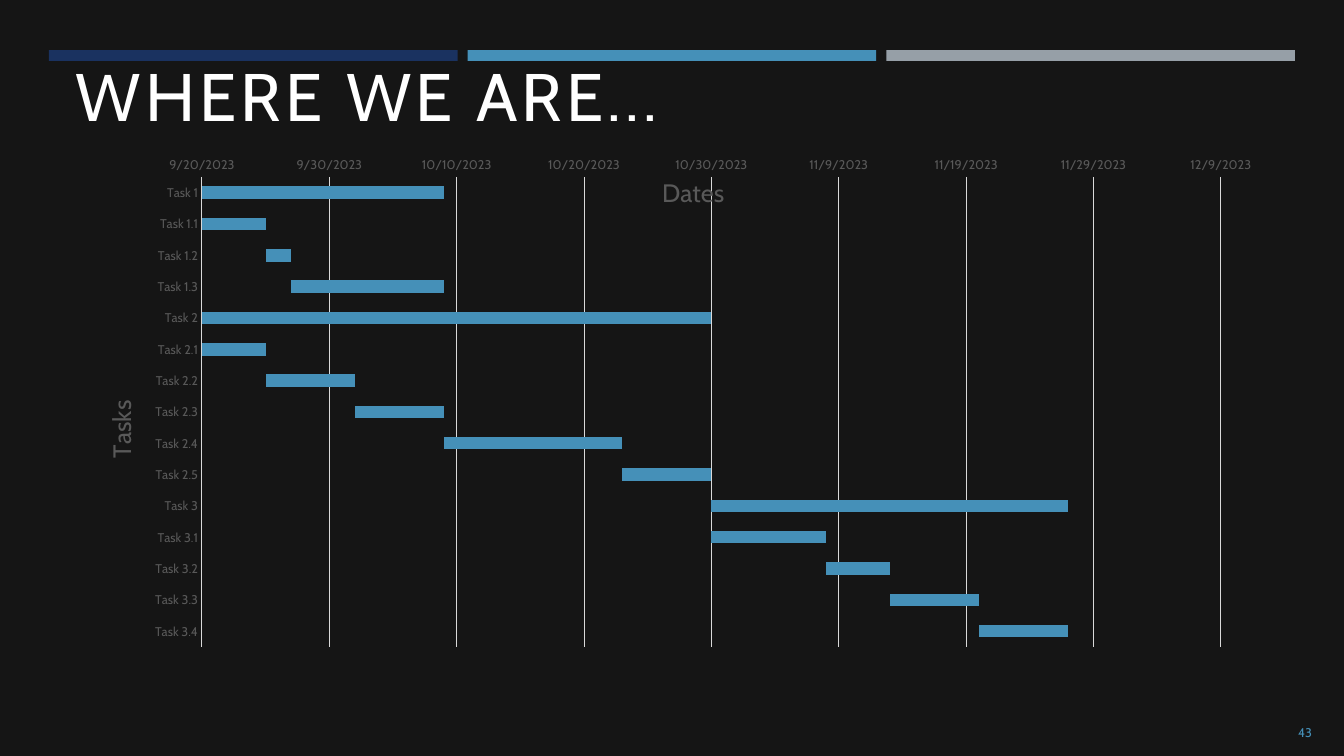
from dataclasses import dataclass
from lxml import etree
from pptx import Presentation, util as u
from pptx.chart.data import CategoryChartData
from pptx.dml.color import RGBColor
from pptx.enum import chart as ch, shapes, text
from pptx.oxml.ns import qn

PX = 914400 / 100.8


@dataclass(frozen=True)
class Theme:
    font: str = "Cabin"
    back: str = "151515"
    navy: str = "1A3260"
    blue: str = "4590B8"
    gray: str = "969FA7"
    white: str = "FFFFFF"
    label: str = "595959"
    grid: str = "D9D9D9"
    head: int = 48
    axis: int = 18
    small: int = 9


T = Theme()
START = 45189  # 9/20/2023 as a day number
SPAN, STEP = 80, 10

# Task, days after START, length in days
TASKS = [
    ("Task 1", 0, 19), ("Task 1.1", 0, 5), ("Task 1.2", 5, 2),
    ("Task 1.3", 7, 12), ("Task 2", 0, 40), ("Task 2.1", 0, 5),
    ("Task 2.2", 5, 7), ("Task 2.3", 12, 7), ("Task 2.4", 19, 14),
    ("Task 2.5", 33, 7), ("Task 3", 40, 28), ("Task 3.1", 40, 9),
    ("Task 3.2", 49, 5), ("Task 3.3", 54, 7), ("Task 3.4", 61, 7),
]


def emu(*box):
    return [u.Emu(round(v * PX)) for v in box]


def rgb(hue):
    return RGBColor.from_string(hue)


def style(font, size, hue):
    font.name, font.size, font.bold = T.font, u.Pt(size), False
    font.color.rgb = rgb(hue)


def write(slide, box, words, size, hue, align=text.PP_ALIGN.LEFT,
          anchor=text.MSO_ANCHOR.MIDDLE, space=0, base=5):
    frame = slide.shapes.add_textbox(*emu(*box)).text_frame
    frame.word_wrap = True
    frame.vertical_anchor = anchor
    frame.margin_bottom = emu(base)[0]
    para = frame.paragraphs[0]
    para.alignment = align
    run = para.add_run()
    run.text = words
    style(run.font, size, hue)
    if space:
        run.font._element.set("spc", str(space * 100))


def stripes(slide, box):
    x, y, wide, high = box
    gap = 10
    each = (wide - 2 * gap) / 3
    for i, hue in enumerate((T.navy, T.blue, T.gray)):
        bar = slide.shapes.add_shape(
            shapes.MSO_SHAPE.RECTANGLE,
            *emu(x + i * (each + gap), y, each, high))
        bar.shadow.inherit = False
        bar.fill.solid()
        bar.fill.fore_color.rgb = rgb(hue)
        bar.line.fill.background()


def place(node, **spots):
    """Give a chart part a fixed layout, in shares of the chart."""
    lay = node.find(qn("c:layout"))
    if lay is None:
        lay = etree.Element(qn("c:layout"))
        node.insert(0, lay)
    hand = etree.SubElement(lay, qn("c:manualLayout"))
    for key, val in spots.items():
        etree.SubElement(hand, qn("c:" + key)).set("val", str(val))


def name_axis(axis, words, turn, x, y):
    frame = axis.axis_title.text_frame
    frame.text = words
    style(frame.paragraphs[0].runs[0].font, T.axis, T.label)
    frame._txBody.bodyPr.set("rot", str(turn * 60000))
    place(axis.axis_title._element, xMode="edge", yMode="edge", x=x, y=y)


def gantt(slide, box):
    wide, high = box[2:]
    names, starts, days = zip(*TASKS)
    data = CategoryChartData()
    data.categories = names
    data.add_series("Series 1", [START + s for s in starts])
    data.add_series("Series 2", days)
    chart = slide.shapes.add_chart(
        ch.XL_CHART_TYPE.BAR_STACKED, *emu(*box), data).chart
    chart.has_title = chart.has_legend = False
    style(chart.font, T.small, T.label)

    # Bars: the first series only holds the start dates
    plot = chart.plots[0]
    plot.gap_width, plot.overlap = 150, 100
    plot.vary_by_categories = False
    wait, work = plot.series
    wait.format.fill.background()
    work.format.fill.solid()
    work.format.fill.fore_color.rgb = rgb(T.blue)

    # Axes
    tasks, dates = chart.category_axis, chart.value_axis
    for axis in (tasks, dates):
        axis.major_tick_mark = axis.minor_tick_mark = ch.XL_TICK_MARK.NONE
        axis.format.line.fill.background()
        style(axis.tick_labels.font, T.small, T.label)
    tasks.reverse_order = True
    dates.minimum_scale, dates.maximum_scale = START, START + SPAN
    dates.major_unit = STEP
    dates.tick_labels.number_format = "m/d/yyyy"
    dates.tick_labels.number_format_is_linked = False
    dates.has_major_gridlines = True
    line = dates.major_gridlines.format.line
    line.color.rgb, line.width = rgb(T.grid), u.Pt(0.75)

    # Fixed places inside the chart box
    name_axis(tasks, "Tasks", -90, round(32 / wide, 3), round(250 / high, 3))
    name_axis(dates, "Dates", 0, round(590 / wide, 3), round(25 / high, 3))
    place(chart._chartSpace.chart.plotArea, layoutTarget="inner",
          xMode="edge", yMode="edge",
          x=round(134 / wide, 4), y=round(31 / high, 4),
          w=round(1019 / wide, 4), h=round(470 / high, 4))


def build(slide):
    slide.background.fill.solid()
    slide.background.fill.fore_color.rgb = rgb(T.back)
    stripes(slide, (49, 50, 1246, 11))
    write(slide, (66, 15, 1213, 120), "WHERE WE ARE...", T.head, T.white,
          anchor=text.MSO_ANCHOR.BOTTOM, space=3, base=0)
    gantt(slide, (68, 146, 1208, 576))
    write(slide, (1273, 713, 49, 40), "43", T.small, T.blue,
          align=text.PP_ALIGN.RIGHT)


def main():
    deck = Presentation()
    deck.slide_width, deck.slide_height = emu(1344, 756)
    build(deck.slides.add_slide(deck.slide_layouts[6]))
    deck.save("out.pptx")


if __name__ == "__main__":
    main()
